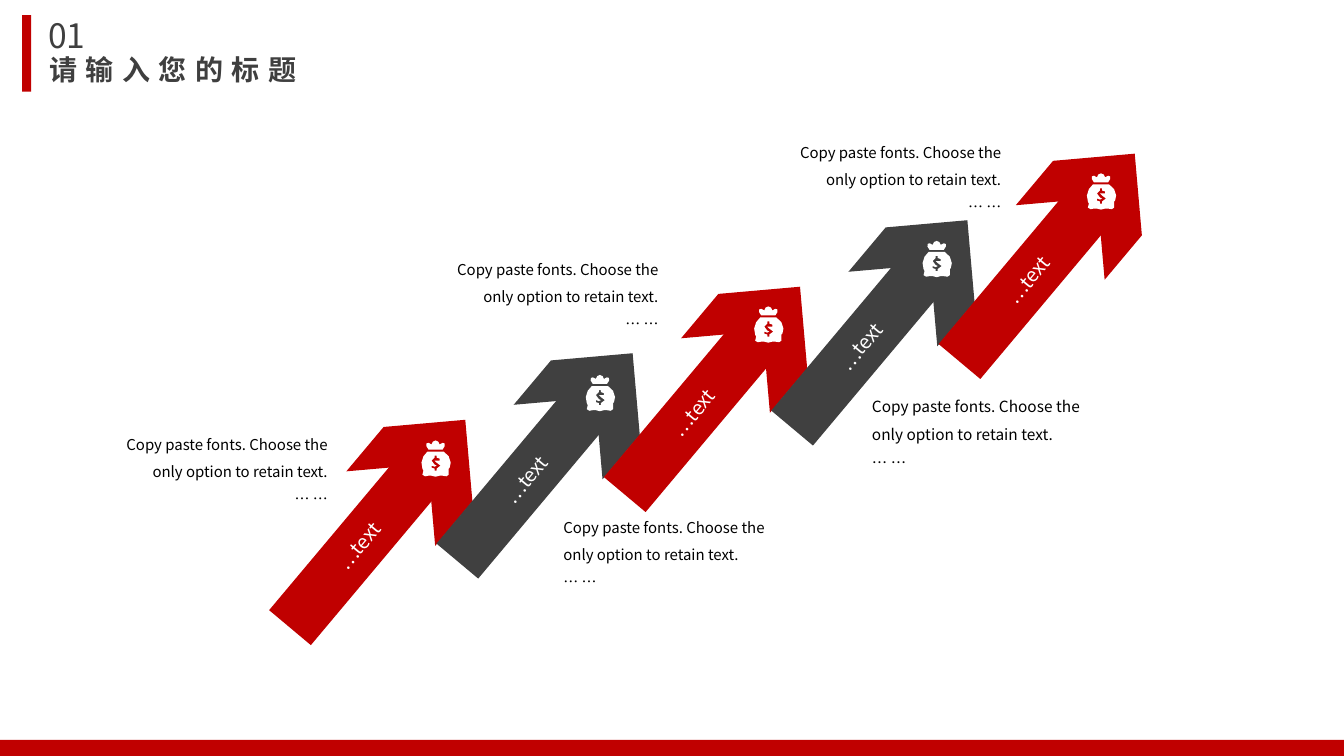
import pptx
import pptx.dml.color
import pptx.enum.shapes
import pptx.enum.text
import pptx.oxml
import pptx.oxml.ns
import pptx.util

Inches = pptx.util.Inches
RGBColor = pptx.dml.color.RGBColor
SHAPES = pptx.enum.shapes.MSO_SHAPE
ALIGN = pptx.enum.text.PP_ALIGN
ANCHOR = pptx.enum.text.MSO_ANCHOR

RED = RGBColor(0xC0, 0x00, 0x00)
DARK = RGBColor(0x40, 0x40, 0x40)
TITLE_GREY = RGBColor(0x3F, 0x3F, 0x3F)
BLACK = RGBColor(0x00, 0x00, 0x00)
WHITE = RGBColor(0xFF, 0xFF, 0xFF)

# Money bag outlines in hundredths of an inch.
DOLLAR_SIGN = [
    (13, 15), (13, 17), (10, 20), (13, 24), (15, 25), (13, 26), (10, 25),
    (10, 27), (13, 28), (13, 30), (15, 30), (15, 28), (19, 25), (15, 22),
    (13, 20), (15, 20), (18, 20), (18, 18), (15, 17), (15, 15),
]
BAG_BODY = [
    (6, 11), (22, 11), (27, 15.7), (29, 22), (28, 27), (27, 28), (27, 31),
    (27, 34), (24.7, 35.6), (21, 35), (18, 35), (14, 36), (10, 35), (7, 35),
    (3.6, 35.6), (1, 34), (2, 30), (1, 28), (0, 22), (2, 15.7),
]
BAG_TOP = [
    (14, 0), (16.7, 1.2), (18, 4), (21, 2.4), (23, 3), (23.1, 5.6), (21, 9),
    (7, 9), (4.9, 5.6), (5, 3), (7.1, 2.4), (10, 4), (11.3, 1.2),
]

ARROW_COUNT = 5
STEP_X, STEP_Y = 1.66, -0.66
BAG_PLACES = [(4.18, 4.37), (5.81, 3.72), (7.48, 3.04), (9.15, 2.39), (10.78, 1.72)]
CALLOUT_TEXT = "Copy paste fonts. Choose the only option to retain text.\n… …"
CALLOUTS = [
    (1.11, 4.18, 2.24, 10.7, ALIGN.RIGHT),
    (5.49, 5.01, 2.24, 10.7, ALIGN.LEFT),
    (8.55, 3.8, 2.6, 11, ALIGN.LEFT),
    (4.39, 2.45, 2.24, 10.7, ALIGN.RIGHT),
    (7.79, 1.29, 2.24, 10.7, ALIGN.RIGHT),
]


class SlideBuilder:
    font_name = "Noto Sans CJK SC"

    def __init__(self, slide):
        self.slide = slide

    def paint(self, shape, color):
        shape.shadow.inherit = False
        shape.fill.solid()
        shape.fill.fore_color.rgb = color
        shape.line.fill.background()

    def block(self, left, top, width, height, color, kind=SHAPES.RECTANGLE, rotation=0):
        shape = self.slide.shapes.add_shape(
            kind, Inches(left), Inches(top), Inches(width), Inches(height))
        shape.rotation = rotation
        self.paint(shape, color)

    def text(self, left, top, width, height, content, size, color, align=ALIGN.LEFT,
             bold=False, line_spacing=None, letter_spacing=0, anchor=ANCHOR.TOP, rotation=0):
        box = self.slide.shapes.add_textbox(
            Inches(left), Inches(top), Inches(width), Inches(height))
        box.rotation = rotation
        frame = box.text_frame
        frame.word_wrap = True
        frame.vertical_anchor = anchor
        frame.text = content
        for paragraph in frame.paragraphs:
            paragraph.alignment = align
            paragraph.line_spacing = line_spacing
            paragraph.font.name = self.font_name
            paragraph.font.size = pptx.util.Pt(size)
            paragraph.font.bold = bold
            paragraph.font.color.rgb = color
            for run in paragraph.runs:
                self.set_east_asian(run, letter_spacing)

    def set_east_asian(self, run, letter_spacing):
        """Set the East Asian typeface and the letter spacing in points."""
        properties = run._r.get_or_add_rPr()
        if letter_spacing:
            properties.set("spc", str(letter_spacing * 100))
        properties.append(pptx.oxml.parse_xml(
            f'<a:ea {pptx.oxml.ns.nsdecls("a")} typeface="{self.font_name}"/>'))

    def money_bag(self, left, top):
        unit = Inches(0.01)
        outlines = [[(x * unit, y * unit) for x, y in outline]
                    for outline in (DOLLAR_SIGN, BAG_BODY, BAG_TOP)]
        first, *others = outlines
        builder = self.slide.shapes.build_freeform(*first[0])
        builder.add_line_segments(first[1:], close=True)
        for outline in others:
            builder.move_to(*outline[0])
            builder.add_line_segments(outline[1:], close=True)
        self.paint(builder.convert_to_shape(Inches(left), Inches(top)), WHITE)

    def arrow(self, index):
        x, y = index * STEP_X, index * STEP_Y
        color = DARK if index % 2 else RED
        self.block(3.3 + x, 4.32 + y, 0.54, 2.16, color, rotation=40)
        self.block(3.67 + x, 4.03 + y, 1.15, 1.15, color, SHAPES.CHEVRON, 310)
        self.text(2.6 + x, 5.19 + y, 1.91, 0.45, "…text", 14, WHITE, ALIGN.CENTER,
                  anchor=ANCHOR.MIDDLE, rotation=309.8)


def main():
    presentation = pptx.Presentation()
    presentation.slide_width = Inches(13.33)
    presentation.slide_height = Inches(7.5)
    builder = SlideBuilder(presentation.slides.add_slide(presentation.slide_layouts[6]))

    builder.block(0, 7.34, 13.33, 0.16, RED)
    builder.block(0.22, 0.15, 0.09, 0.76, RED)
    builder.text(0.39, 0.47, 3.5, 0.44, "请输入您的标题", 20, TITLE_GREY,
                 bold=True, letter_spacing=6)
    builder.text(0, 0.1, 1.33, 0.5, "01", 24, TITLE_GREY, ALIGN.CENTER)

    for index in range(ARROW_COUNT):
        builder.arrow(index)
    for left, top, width, size, align in CALLOUTS:
        builder.text(left, top, width, 0.95, CALLOUT_TEXT, size, BLACK, align,
                     line_spacing=1.5)
    for left, top in BAG_PLACES:
        builder.money_bag(left, top)

    presentation.save("out.pptx")


if __name__ == "__main__":
    main()
